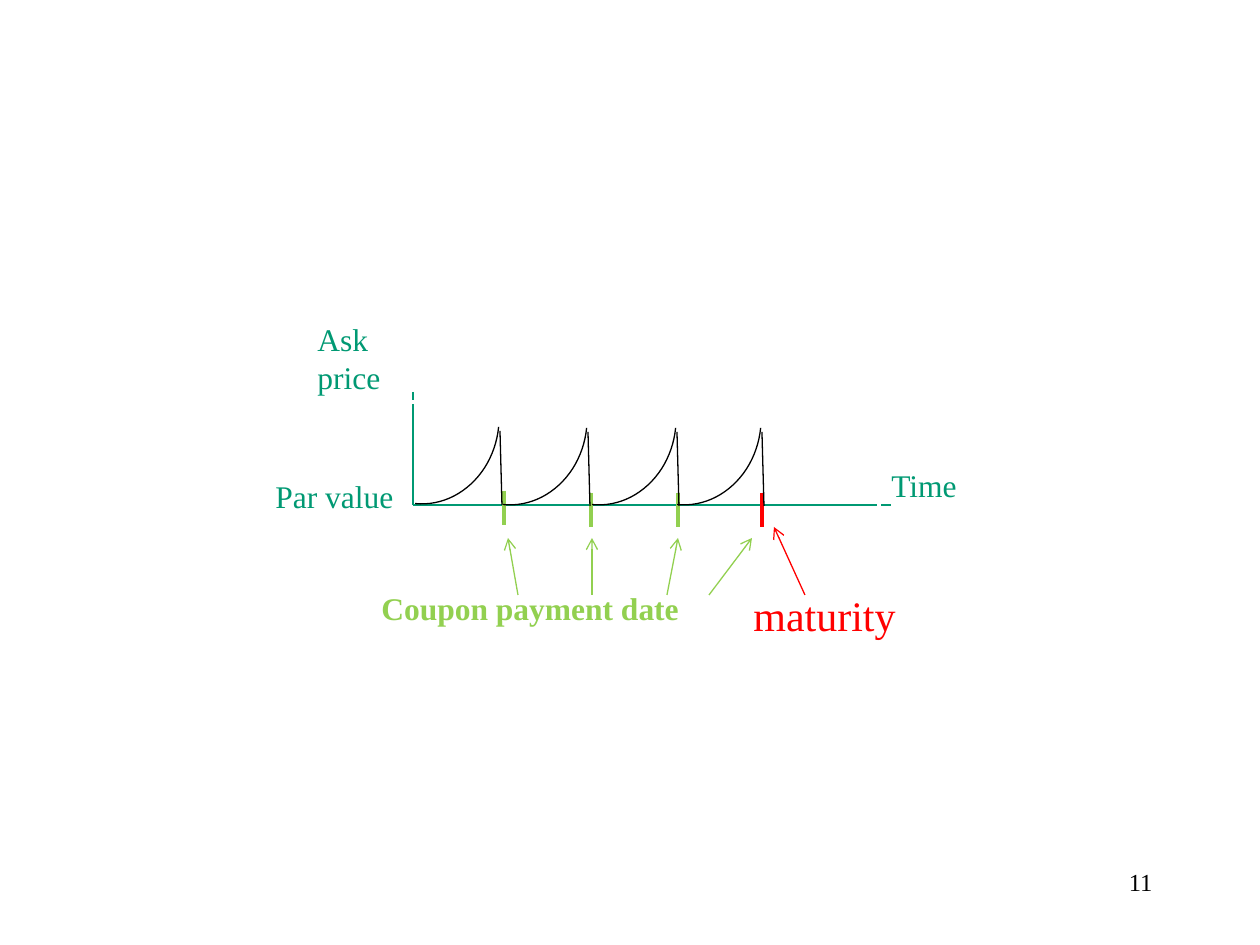
from lxml import etree
from pptx import Presentation
from pptx.dml.color import RGBColor
from pptx.enum.shapes import MSO_CONNECTOR as Link, MSO_SHAPE as Shape
from pptx.enum.text import MSO_ANCHOR as Anchor, MSO_AUTO_SIZE as Fit, PP_ALIGN as Align
from pptx.oxml.ns import qn
from pptx.util import Pt

PX = 914400 / 126
TEAL, GREEN, RED, BLACK, WHITE = "009973", "92D050", "FF0000", "000000", "FFFFFF"


def color(value):
    return RGBColor.from_string(value)


def draw_line(start, end, shade, width=0.75, arrow=False):
    """Draw a straight line between two pixel points, with an open arrowhead if asked."""
    ends = [round(value * PX) for value in (*start, *end)]
    line = page.shapes.add_connector(Link.STRAIGHT, *ends)
    line.line.color.rgb = color(shade)
    line.line.width = Pt(width)
    properties = line._element.spPr
    if arrow:
        outline = properties.find(qn("a:ln"))
        etree.SubElement(outline, qn("a:tailEnd"), type="arrow")
    etree.SubElement(properties, qn("a:effectLst"))


deck = Presentation()
deck.slide_width, deck.slide_height = round(1260 * PX), round(945 * PX)
page = deck.slides.add_slide(deck.slide_layouts[6])

# Axes
origin = (413, 505)
draw_line((413, 392), origin, TEAL)
draw_line(origin, (891, 505), TEAL)

# Labels: lines of text, frame, outlined, format
labels = [
    (["Ask", "price"], (305, 314, 120, 88), True, dict(size=18, color=TEAL)),
    (["Time"], (879, 460, 176, 50), True, dict(size=18, color=TEAL)),
    (["Par value"], (263, 471, 170, 50), False, dict(size=18, color=TEAL)),
    (["Coupon payment date"], (369, 583, 350, 50), False, dict(size=18, color=GREEN, bold=True)),
    (["maturity"], (741, 583, 256, 63), False, dict(size=24, color=RED)),
    (["11"], (903, 861, 262, 63), False, dict(size=14, color=BLACK, align=Align.RIGHT)),
]
for lines, frame, outlined, style in labels:
    place = [round(value * PX) for value in frame]
    if outlined:
        box = page.shapes.add_shape(Shape.RECTANGLE, *place)
        box.shadow.inherit = False
        box.fill.background()
        box.line.color.rgb = color(WHITE)
        box.line.width = Pt(2)
    else:
        box = page.shapes.add_textbox(*place)
    text = box.text_frame
    for name, value in dict(word_wrap=True, auto_size=Fit.NONE, vertical_anchor=Anchor.TOP).items():
        setattr(text, name, value)
    for index, words in enumerate(lines):
        para = text.add_paragraph() if index else text.paragraphs[0]
        para.alignment = style.get("align", Align.LEFT)
        span = para.add_run()
        span.text = words
        span.font.color.rgb = color(style["color"])
        formats = dict(name="Times New Roman", size=Pt(style["size"]), bold=style.get("bold", False))
        for name, value in formats.items():
            setattr(span.font, name, value)

# Date ticks on the time axis
for x, top, shade in [(504, 491, GREEN), (591, 493, GREEN), (678, 493, GREEN), (762, 493, RED)]:
    draw_line((x, top), (x, top + 34), shade, 2.25)

# Price rises along an arc, then drops on each coupon date
for peak, top in [(500, 344), (588, 345), (677, 345), (762, 345)]:
    place = [round(value * PX) for value in (peak - 161, top, 169, 151)]
    rise = page.shapes.add_shape(Shape.ARC, *place)
    rise.shadow.inherit = False
    rise.rotation = 95.6
    rise.fill.background()
    rise.line.color.rgb = color(BLACK)
    rise.line.width = Pt(0.75)
    draw_line((peak, top + 87), (peak + 2, top + 161), BLACK)

# Arrows from the labels to the dates
for start, end in [(518, 508), (592, 592), (667, 678), (709, 752)]:
    draw_line((start, 595), (end, 538), GREEN, arrow=True)
draw_line((805, 595), (774, 527), RED, arrow=True)

deck.save("out.pptx")
